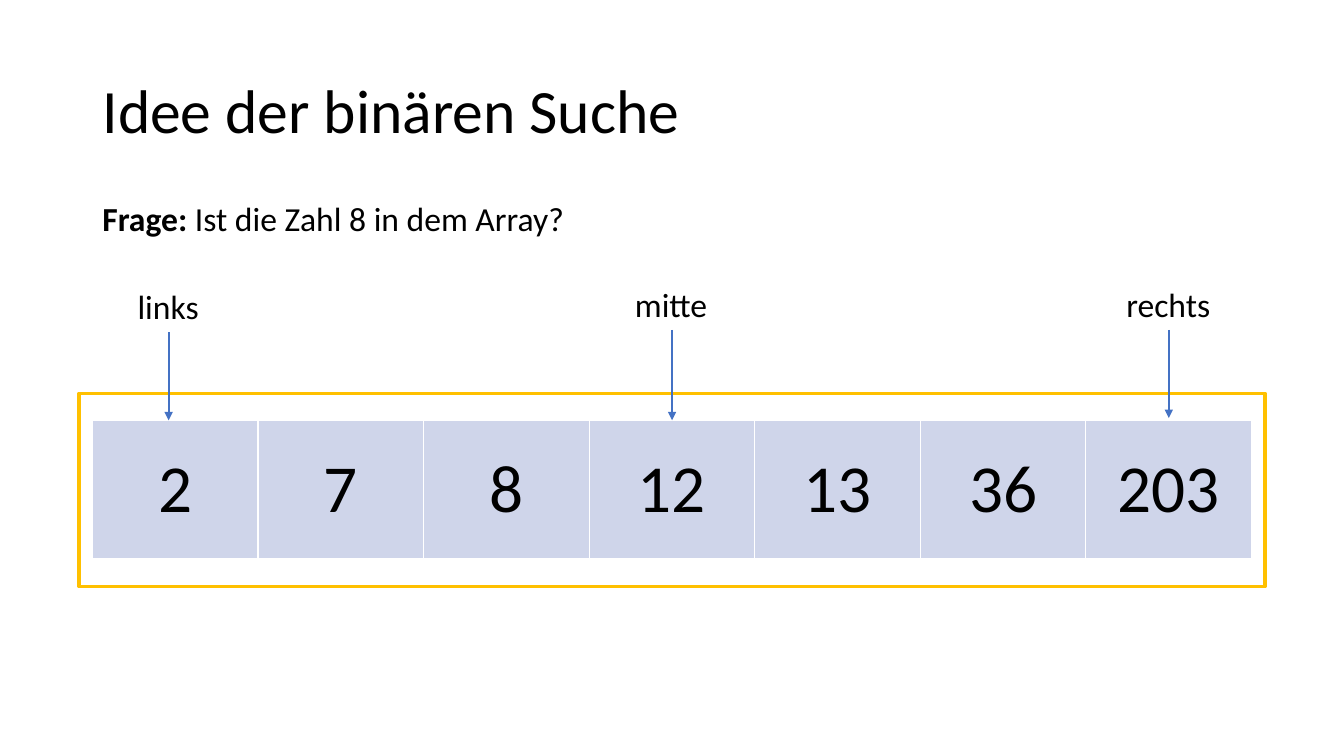
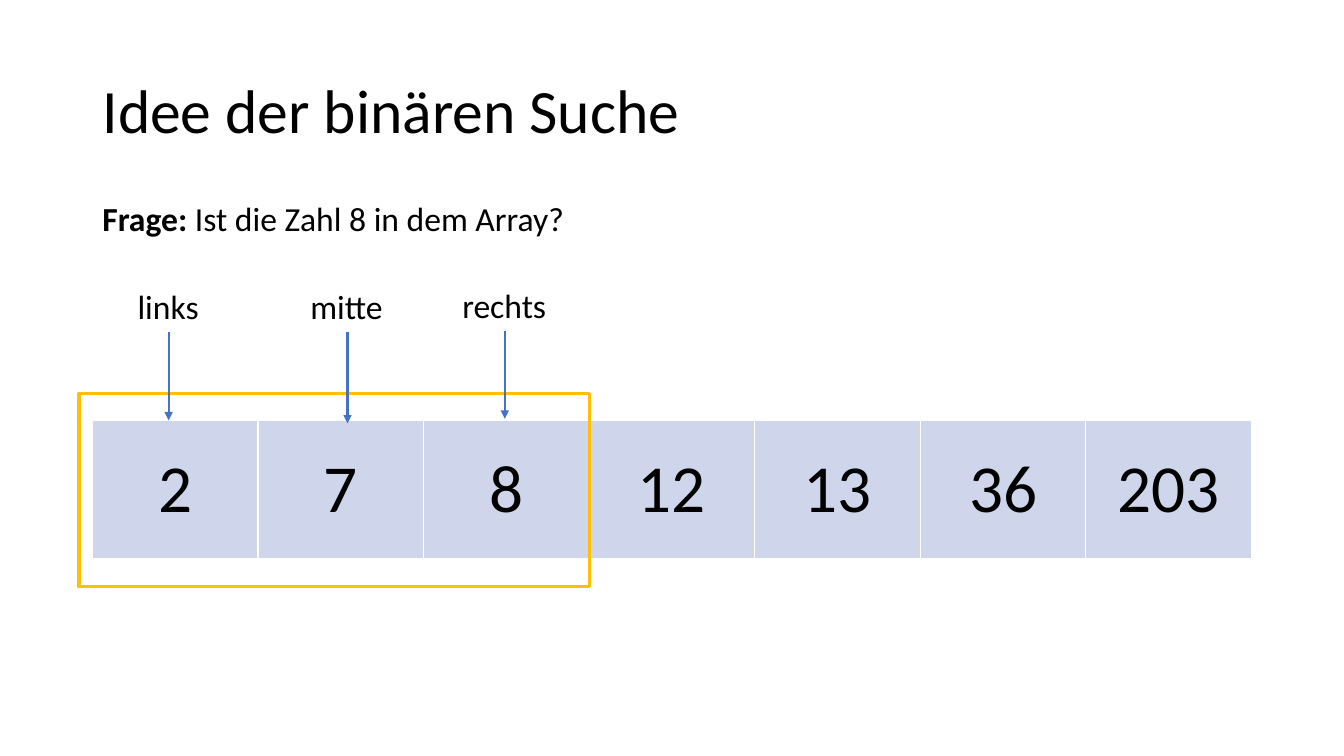
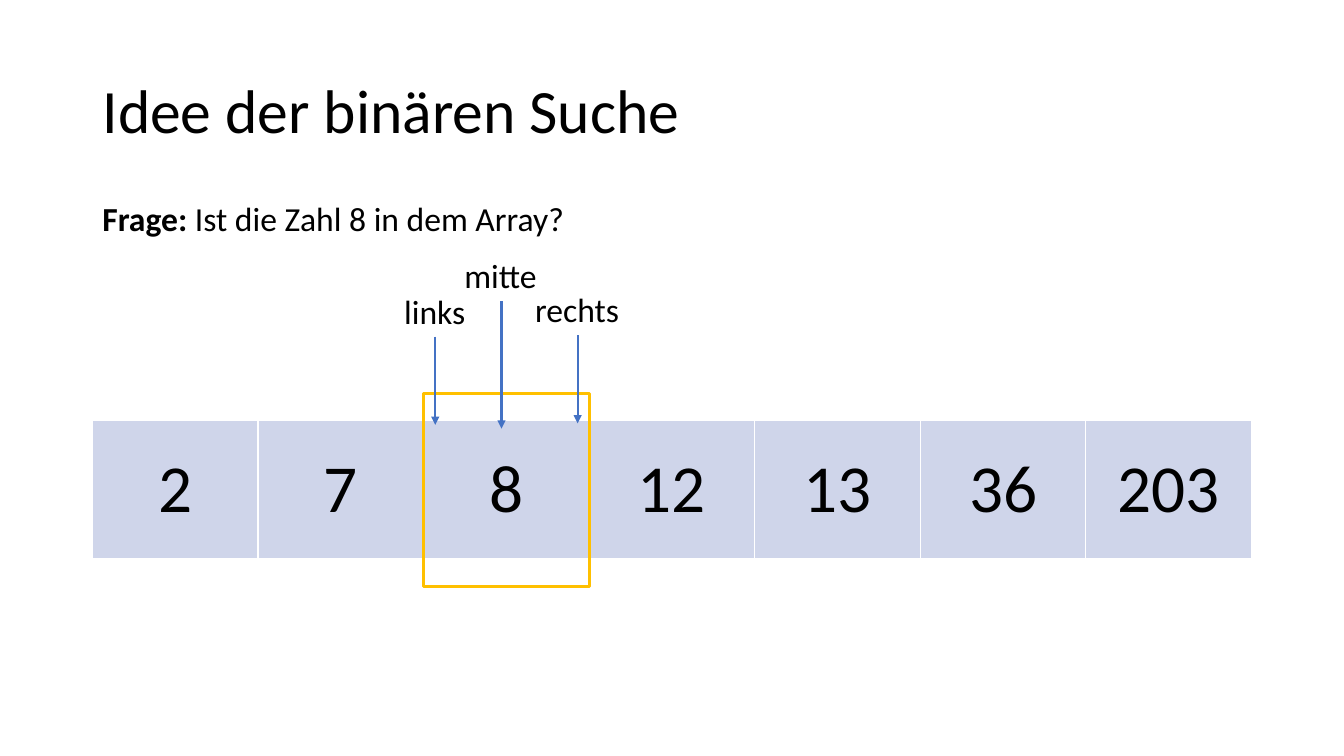
from lxml.etree import SubElement as Sub
from pptx import Presentation as Deck
from pptx.dml.color import RGBColor as RGB
from pptx.enum.shapes import MSO_CONNECTOR as LINE, MSO_SHAPE as SHAPE
from pptx.enum.text import MSO_ANCHOR as ANCHOR, MSO_AUTO_SIZE as FIT, PP_ALIGN as ALIGN
from pptx.oxml import parse_xml
from pptx.oxml.ns import nsdecls, qn
from pptx.util import Inches, Pt

BLACK, WHITE, CELL, GOLD, BLUE = "000000", "FFFFFF", "CFD5EA", "FFC000", "4472C4"
deck = Deck()
deck.slide_width, deck.slide_height = Inches(13.333), Inches(7.5)
wide, high = deck.slide_width / 100, deck.slide_height / 100


def paint(part, tone):
    part.solid()
    part.fore_color.rgb = RGB.from_string(tone)


def style(para, size, align=ALIGN.LEFT):
    para.alignment = align
    for run in para.runs:
        run.font.name, run.font.size = "Calibri", Pt(size)
        paint(run.font.fill, BLACK)


nums = [2, 7, 8, 12, 13, 36, 203]
left, span = 6.88, 86.25
col = span / len(nums)
top, tall = 55.6, 18.3
pad = 1
row = 6.73
sizes = {"links": 6.1, "mitte": 7, "rechts": 7.8}

steps = [
    (0, 7, [("links", 0.46, 37.2, 55.6), ("mitte", 3.5, 36.9, 55.6), ("rechts", 6.5, 36.9, 55.3)]),
    (0, 3, [("links", 0.46, 37.2, 55.6), ("mitte", 1.54, 37.2, 56), ("rechts", 2.49, 37, 55.4)]),
    (2, 3, [("links", 2.07, 37.8, 56.2), ("mitte", 2.47, 33.1, 56.7), ("rechts", 2.93, 37.6, 56)]),
]

for first, last, marks in steps:
    slide = deck.slides.add_slide(deck.slide_layouts[5])
    shapes = slide.shapes

    title = shapes.title
    title.left, title.top = int(left * wide), int(5.32 * high)
    title.width, title.height = int(span * wide), int(19.33 * high)
    text = title.text_frame
    text.text = "Idee der binären Suche"
    text.auto_size, text.vertical_anchor = FIT.NONE, ANCHOR.MIDDLE
    text.paragraphs[0].line_spacing = 0.9
    style(text.paragraphs[0], 44)

    box = shapes.add_textbox(int(left * wide), int(25.5 * high), int(50 * wide), int(row * high))
    text = box.text_frame
    text.word_wrap, text.auto_size = True, FIT.SHAPE_TO_FIT_TEXT
    para = text.paragraphs[0]
    for words, bold in [("Frage: ", True), ("Ist die Zahl 8 in dem Array?", False)]:
        run = para.add_run()
        run.text, run.font.bold = words, bold
    style(para, 24)

    table = shapes.add_table(1, len(nums), int(left * wide), int(top * high),
                             int(span * wide), int(tall * high)).table
    table.first_row = table.horz_banding = False
    for num, cell in zip(nums, table.iter_cells()):
        cell.text_frame.text = str(num)
        cell.vertical_anchor = ANCHOR.MIDDLE
        style(cell.text_frame.paragraphs[0], 48, ALIGN.CENTER)
        props = cell._tc.get_or_add_tcPr()
        for side in "LRTB":
            props.append(parse_xml(
                f'<a:ln{side} w="12700" {nsdecls("a")}><a:solidFill>'
                f'<a:srgbClr val="{WHITE}"/></a:solidFill></a:ln{side}>'))
        paint(cell.fill, CELL)

    start = left + first * col - pad * (first == 0)
    end = left + last * col + pad * (last == len(nums))
    frame = shapes.add_shape(SHAPE.RECTANGLE, int(start * wide), int(52 * high),
                             int((end - start) * wide), int(25.6 * high))
    frame.shadow.inherit = False
    frame.fill.background()
    paint(frame.line.fill, GOLD)
    frame.line.width = Pt(2.25)

    for name, slot, y, tip in marks:
        mid = left + slot * col
        size = sizes[name]
        label = shapes.add_textbox(int((mid - size / 2) * wide), int(y * high),
                                   int(size * wide), int(row * high))
        text = label.text_frame
        text.text = name
        text.word_wrap, text.auto_size = False, FIT.SHAPE_TO_FIT_TEXT
        style(text.paragraphs[0], 24)

        arrow = shapes.add_connector(LINE.STRAIGHT, int(mid * wide), int((y + row) * high),
                                     int(mid * wide), int(tip * high))
        arrow.begin_connect(label, 2)
        paint(arrow.line.fill, BLUE)
        arrow.line.width = Pt(1.5)
        Sub(arrow.line._get_or_add_ln(), qn("a:tailEnd"), type="triangle")
        Sub(arrow._element.spPr, qn("a:effectLst"))

deck.save("out.pptx")
